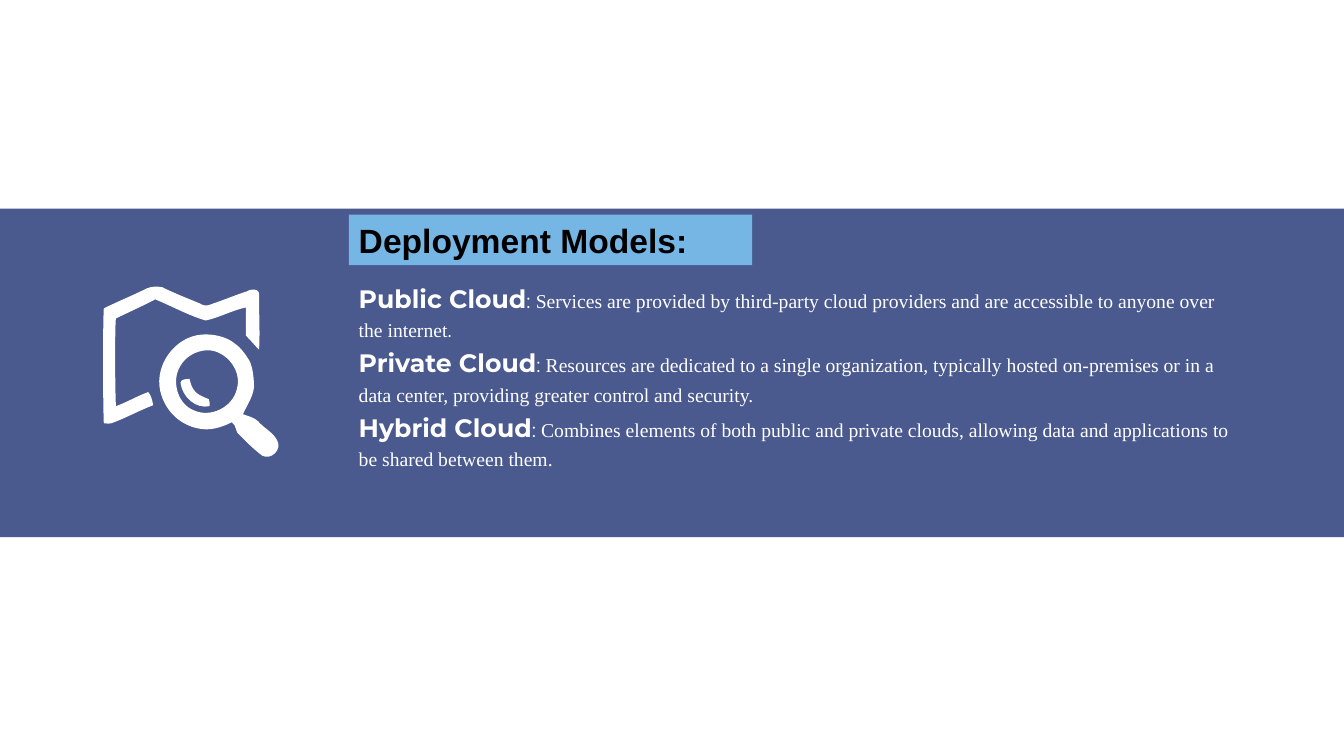
from pptx import Presentation
from pptx.dml.color import RGBColor
from pptx.enum.shapes import MSO_SHAPE
from pptx.enum.text import MSO_ANCHOR, MSO_AUTO_SIZE, PP_ALIGN
from pptx.oxml.ns import qn
from pptx.util import Inches, Pt
from lxml.etree import SubElement

NAVY = RGBColor(0x00, 0x16, 0x61)
SKY = RGBColor(0x75, 0xB6, 0xE5)
WHITE = RGBColor(0xFF, 0xFF, 0xFF)
BLACK = RGBColor(0x00, 0x00, 0x00)
HEAD, BODY, TITLE = "Montserrat", "Times New Roman", "Arial"

# Icon outlines: a start point, then three points for each curve
MAP = [[
    (1.46, 2.86), (1.51, 2.84), (1.56, 2.84), (1.61, 2.85),
    (1.73, 2.91), (1.86, 2.96), (1.98, 3.01), (2.01, 3.03), (2.05, 3.04), (2.09, 3.02),
    (2.21, 2.98), (2.33, 2.93), (2.45, 2.89), (2.48, 2.87), (2.52, 2.87), (2.55, 2.88),
    (2.58, 2.9), (2.57, 2.94), (2.57, 2.97), (2.57, 3.14), (2.58, 3.31), (2.57, 3.47),
    (2.53, 3.43), (2.49, 3.38), (2.44, 3.33), (2.44, 3.24), (2.44, 3.14), (2.44, 3.05),
    (2.3, 3.08), (2.18, 3.15), (2.04, 3.18), (1.87, 3.13), (1.71, 3.04), (1.54, 2.97),
    (1.49, 3), (1.23, 3.12), (1.15, 3.16), (1.14, 3.22), (1.14, 3.81), (1.15, 4.03),
    (1.26, 3.99), (1.36, 3.93), (1.47, 3.89), (1.5, 3.92), (1.51, 3.97), (1.52, 4.02),
    (1.39, 4.07), (1.26, 4.14), (1.13, 4.19), (1.09, 4.21), (1.06, 4.2), (1.03, 4.2),
    (1.02, 3.96), (1.02, 3.2), (1.03, 3.06), (1.17, 2.99), (1.32, 2.93), (1.46, 2.86),
]]
LENS = [[
    (1.59, 3.88), (1.53, 3.62), (1.74, 3.34), (2, 3.32),
    (2.11, 3.31), (2.25, 3.34), (2.33, 3.41), (2.39, 3.45), (2.44, 3.52), (2.48, 3.59),
    (2.51, 3.66), (2.52, 3.77), (2.52, 3.84), (2.51, 3.94), (2.45, 4.02), (2.41, 4.11),
    (2.46, 4.13), (2.52, 4.14), (2.56, 4.18), (2.62, 4.25), (2.71, 4.29), (2.75, 4.37),
    (2.8, 4.46), (2.69, 4.57), (2.6, 4.52), (2.52, 4.46), (2.45, 4.39), (2.38, 4.32),
    (2.33, 4.29), (2.35, 4.22), (2.3, 4.19), (2.2, 4.24), (2.08, 4.28), (1.96, 4.25),
    (1.77, 4.21), (1.63, 4.06), (1.59, 3.88),
], [
    (2.01, 3.48), (1.9, 3.5), (1.81, 3.57), (1.77, 3.67),
    (1.71, 3.81), (1.77, 4.01), (1.92, 4.07), (2.09, 4.15), (2.31, 4.04), (2.35, 3.86),
    (2.41, 3.66), (2.21, 3.44), (2.01, 3.48),
]]
GLINT = [[
    (1.79, 3.8), (1.79, 3.76), (1.85, 3.76), (1.88, 3.76),
    (1.89, 3.8), (1.9, 3.85), (1.94, 3.89), (1.97, 3.92), (2.02, 3.94), (2.07, 3.96),
    (2.08, 3.98), (2.08, 4.01), (2.08, 4.03), (1.94, 4.06), (1.81, 3.94), (1.79, 3.8),
]]

MODELS = [
    ("Public Cloud", [
        ("Services are provided by third-party cloud providers and are "
         "accessible to anyone over the internet", BODY), (".", HEAD)]),
    ("Private Cloud", [
        ("Resources are dedicated to a single organization, typically hosted "
         "on-premises or in a data center, providing greater control and security.", BODY)]),
    ("Hybrid Cloud", [
        ("Combines elements of both public and private clouds, allowing data "
         "and applications to be shared between them.", BODY)]),
]


def bend(shape):
    """Join each three line segments into one cubic curve."""
    lines = list(shape.element.iter(qn("a:lnTo")))
    for i in range(0, len(lines), 3):
        curve = SubElement(lines[i].getparent(), qn("a:cubicBezTo"))
        lines[i].addprevious(curve)
        for line in lines[i:i + 3]:
            curve.append(line[0])
            line.getparent().remove(line)


class Page:
    def __init__(self, deck):
        self.slide = deck.slides.add_slide(deck.slide_layouts[6])
        self.shapes = self.slide.shapes

    def paint(self, shape, color):
        shape.shadow.inherit = False
        shape.fill.solid()
        shape.fill.fore_color.rgb = color
        shape.line.fill.background()

    def box(self, x, y, w, h, color, alpha=100):
        shape = self.shapes.add_shape(
            MSO_SHAPE.RECTANGLE, Inches(x), Inches(y), Inches(w), Inches(h))
        self.paint(shape, color)
        if alpha < 100:
            tint = shape.element.find(".//" + qn("a:srgbClr"))
            SubElement(tint, qn("a:alpha")).set("val", str(alpha * 1000))
        return shape

    def icon(self, parts):
        group = self.shapes.add_group_shape()
        for loops in parts:
            first, *rest = [[(Inches(x), Inches(y)) for x, y in loop] for loop in loops]
            pen = group.shapes.build_freeform(*first[0], scale=1.0)
            pen.add_line_segments(first[1:], close=True)
            for dots in rest:
                pen.move_to(*dots[0])
                pen.add_line_segments(dots[1:], close=True)
            shape = pen.convert_to_shape()
            bend(shape)
            self.paint(shape, WHITE)

    def title(self, shape, text):
        frame = shape.text_frame
        frame.word_wrap = True
        frame.auto_size = MSO_AUTO_SIZE.SHAPE_TO_FIT_TEXT
        frame.vertical_anchor = MSO_ANCHOR.TOP
        para = frame.paragraphs[0]
        para.text = text
        para.alignment = PP_ALIGN.LEFT
        font = para.font
        font.name, font.size, font.bold = TITLE, Pt(24), True
        font.color.rgb = BLACK

    def run(self, para, text, name, size=14, bold=False):
        run = para.add_run()
        run.text = text
        run.font.name, run.font.size, run.font.bold = name, Pt(size), bold

    def terms(self, x, y, w, h, items):
        frame = self.shapes.add_textbox(
            Inches(x), Inches(y), Inches(w), Inches(h)).text_frame
        frame.word_wrap = True
        frame.auto_size = MSO_AUTO_SIZE.SHAPE_TO_FIT_TEXT
        for i, (term, parts) in enumerate(items):
            para = frame.add_paragraph() if i else frame.paragraphs[0]
            para.line_spacing = 1.2
            para.font.color.rgb = WHITE
            self.run(para, term, HEAD, 18, True)
            for text, name in [(": ", HEAD)] + parts:
                self.run(para, text, name)
            for run in para.runs:
                run.font.color.rgb = WHITE


def main():
    deck = Presentation()
    deck.slide_width, deck.slide_height = Inches(13.33), Inches(7.5)
    page = Page(deck)

    # Band across the slide
    page.box(0, 2.07, 13.33, 3.26, NAVY, 71)

    # Cloud models
    page.terms(3.46, 2.7, 8.87, 2.32, MODELS)

    # Map and magnifier
    page.icon([MAP, LENS, GLINT])

    # Heading
    page.title(page.box(3.46, 2.13, 4, 0.5, SKY), "Deployment Models:")

    deck.save("out.pptx")


if __name__ == "__main__":
    main()
